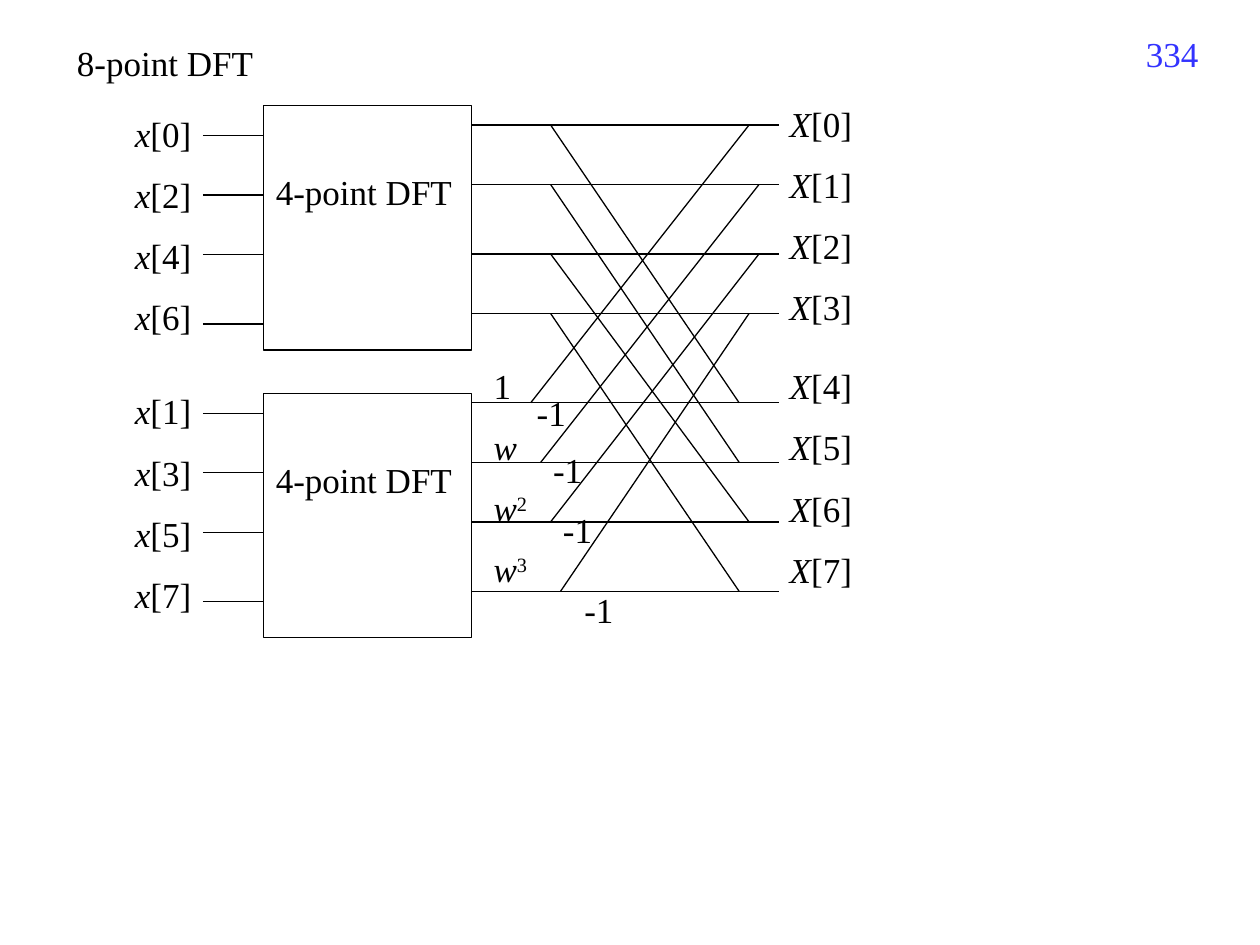
import pptx
import pptx.dml.color
import pptx.enum.shapes
import pptx.enum.text
import pptx.oxml.ns
import pptx.util
import lxml.etree

Cm = pptx.util.Cm
Pt = pptx.util.Pt
FONT = "Times New Roman"
LINE_GAP = 11
BLACK = "000000"


def color(hex_value):
    return pptx.dml.color.RGBColor.from_string(hex_value)


def write_text(shape, paragraphs, fill=BLACK, align="LEFT", gaps=None,
               inset_left=0.25, inset_top=0.13):
    """Each paragraph is a list of (text, style); style is "", "italic" or "super"."""
    frame = shape.text_frame
    frame.word_wrap = True
    frame.vertical_anchor = pptx.enum.text.MSO_ANCHOR.TOP
    frame.margin_left, frame.margin_top = Cm(inset_left), Cm(inset_top)
    gaps = gaps or {}
    for index, runs in enumerate(paragraphs):
        paragraph = frame.paragraphs[0] if index == 0 else frame.add_paragraph()
        paragraph.alignment = getattr(pptx.enum.text.PP_ALIGN, align)
        if index:
            paragraph.space_before = Pt(gaps.get(index, LINE_GAP))
        for text, style in runs:
            run = paragraph.add_run()
            run.text = text
            run.font.name = FONT
            run.font.size = Pt(20)
            run.font.italic = style == "italic"
            run.font.color.rgb = color(fill)
            if style == "super":
                run.font._element.set("baseline", "30000")


def add_text(slide, left, top, width, height, paragraphs, **text_format):
    box = slide.shapes.add_textbox(Cm(left), Cm(top), Cm(width), Cm(height))
    write_text(box, paragraphs, **text_format)


def add_line(slide, x1, y1, x2, y2):
    line = slide.shapes.add_connector(
        pptx.enum.shapes.MSO_CONNECTOR.STRAIGHT, Cm(x1), Cm(y1), Cm(x2), Cm(y2))
    line.line.color.rgb = color(BLACK)
    line.line.width = Pt(0.75)
    lxml.etree.SubElement(line._element.spPr, pptx.oxml.ns.qn("a:effectLst"))


def indexed(letter, indices):
    return [[(letter, "italic"), (f"[{index}]", "")] for index in indices]


def add_half_transform(slide, left, top, block_drop, indices):
    """Input samples, their wires and the 4-point block they feed."""
    add_text(slide, left, top, 2, 4.9, indexed("x", indices), inset_left=0.43)
    for offset in (0.6, 1.8, 3, 4.4):
        add_line(slide, left + 1.8, top + offset, left + 3.02, top + offset)
    block = slide.shapes.add_shape(
        pptx.enum.shapes.MSO_SHAPE.RECTANGLE,
        Cm(left + 3.02), Cm(top + block_drop), Cm(4.19), Cm(4.93))
    block.shadow.inherit = False
    block.fill.background()
    block.line.color.rgb = color(BLACK)
    block.line.width = Pt(0.75)
    write_text(block, [[("4-point DFT", "")]], inset_top=1.31)


def add_butterflies(slide, left, top, width):
    """Output wires, crossing branches, twiddle factors and signs."""
    upper = [top + offset for offset in (0, 1.2, 2.6, 3.8)]
    lower = [top + offset for offset in (5.6, 6.8, 8, 9.4)]
    for y in upper + lower:
        add_line(slide, left, y, left + width, y)

    # Branches: rising start and end, falling end
    branches = zip(upper, lower, (1.2, 1.4, 1.6, 1.8), (5.6, 5.8, 5.8, 5.6),
                   (5.4, 5.4, 5.6, 5.4))
    for high, low, rise_start, rise_end, fall_end in branches:
        add_line(slide, left + rise_start, low, left + rise_end, high)
        add_line(slide, left + 1.6, high, left + fall_end, low)

    # Twiddle factors
    add_text(slide, left + 0.2, top + 4.69, 1.6, 4.9, [
        [("1", "")],
        [("w", "italic")],
        [("w", "italic"), ("2", "super")],
        [("w", "italic"), ("3", "super")],
    ])
    # Signs of the rising branches
    for x, y in ((1.07, 5.25), (1.4, 6.4), (1.6, 7.61), (2.03, 9.21)):
        add_text(slide, left + x, top + y, 1.6, 1.1, [[("-1", "")]])


def add_outputs(slide, left, top):
    """Spectrum labels, with a wider gap between the two halves."""
    add_text(slide, left, top, 2, 10.41, indexed("X", range(8)),
             gaps={4: 21}, inset_left=0.43)


def main():
    presentation = pptx.Presentation()
    presentation.slide_width, presentation.slide_height = Cm(25.4), Cm(19.05)
    slide = presentation.slides.add_slide(presentation.slide_layouts[6])

    # Heading and page number
    add_text(slide, 1.3, 0.71, 5.59, 1.1, [[("8-point DFT", "")]])
    add_text(slide, 18.49, 0.53, 5.92, 1.32, [[("334", "")]],
             fill="3333FF", align="RIGHT")

    # Signal flow from left to right
    add_half_transform(slide, 2.29, 2.13, 0, (0, 2, 4, 6))
    add_half_transform(slide, 2.29, 7.73, 0.2, (1, 3, 5, 7))
    add_butterflies(slide, 9.5, 2.52, 6.2)
    add_outputs(slide, 15.49, 1.93)

    presentation.save("out.pptx")


if __name__ == "__main__":
    main()
